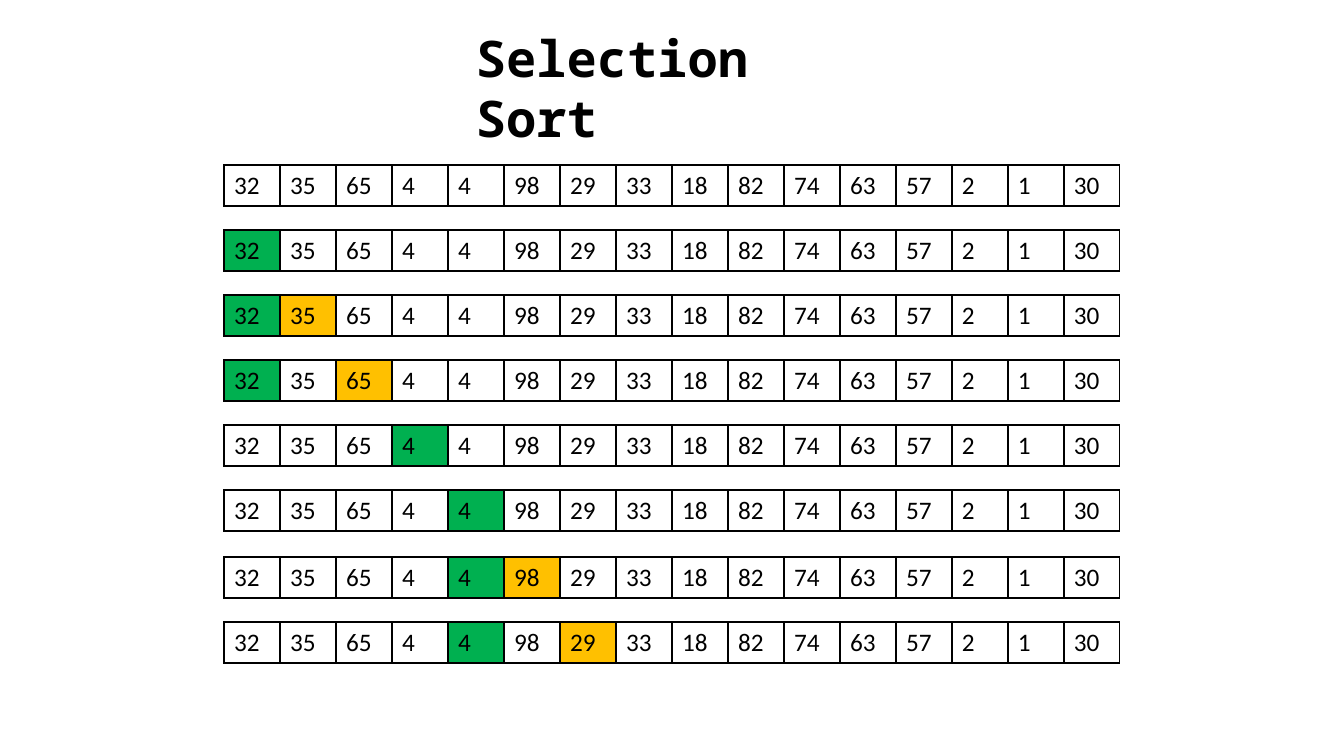
from lxml.etree import SubElement
from pptx import Presentation
from pptx.dml.color import RGBColor
from pptx.enum.text import MSO_AUTO_SIZE as AutoSize
from pptx.oxml.ns import qn
from pptx.util import Pt

# Content: the array, then each step as top and highlighted cells
TITLE = "Selection Sort"
NUMBERS = [32, 35, 65, 4, 4, 98, 29, 33, 18, 82, 74, 63, 57, 2, 1, 30]
BLACK, MINIMUM, COMPARED = "000000", "00B050", "FFC000"
STEPS = [
    (165, {}),
    (230, {0: MINIMUM}),
    (295, {0: MINIMUM, 1: COMPARED}),
    (360, {0: MINIMUM, 2: COMPARED}),
    (425, {3: MINIMUM}),
    (490, {4: MINIMUM}),
    (557, {4: MINIMUM, 5: COMPARED}),
    (622, {4: MINIMUM, 6: COMPARED}),
]

# Layout in pixels
SLIDE_WIDTH, SLIDE_HEIGHT = 1344, 756
TITLE_BOX = (466, 22, 412, 72)
ARRAY_LEFT, CELL_WIDTH, CELL_HEIGHT = 224, 56, 41


def px(pixels):
    return round(pixels * 914400 / 100.8)


def color(value):
    return RGBColor.from_string(value)


def set_font(paragraph, name, size, bold=False):
    font = paragraph.font
    font.name, font.size, font.bold = name, Pt(size), bold
    font.color.rgb = color(BLACK)


def add_borders(cell):
    properties = cell._tc.get_or_add_tcPr()
    for side in ("lnL", "lnR", "lnT", "lnB"):
        line = SubElement(properties, qn(f"a:{side}"), w=str(Pt(1)))
        fill = SubElement(line, qn("a:solidFill"))
        SubElement(fill, qn("a:srgbClr"), val=BLACK)


def add_array(slide, top, highlights):
    count = len(NUMBERS)
    table = slide.shapes.add_table(
        1, count, px(ARRAY_LEFT), px(top), px(CELL_WIDTH * count), px(CELL_HEIGHT)
    ).table
    table.first_row = table.horz_banding = False
    for index, number in enumerate(NUMBERS):
        table.columns[index].width = px(CELL_WIDTH)
        cell = table.cell(0, index)
        cell.text = str(number)
        set_font(cell.text_frame.paragraphs[0], "Calibri", 18)
        add_borders(cell)
        if index in highlights:
            cell.fill.solid()
            cell.fill.fore_color.rgb = color(highlights[index])
        else:
            cell.fill.background()


presentation = Presentation()
presentation.slide_width = px(SLIDE_WIDTH)
presentation.slide_height = px(SLIDE_HEIGHT)
slide = presentation.slides.add_slide(presentation.slide_layouts[6])

# Title
title_frame = slide.shapes.add_textbox(*map(px, TITLE_BOX)).text_frame
title_frame.word_wrap = True
title_frame.auto_size = AutoSize.SHAPE_TO_FIT_TEXT
title_frame.text = TITLE
set_font(title_frame.paragraphs[0], "Noto Sans Mono", 36, bold=True)

# One array per step
for top, highlights in STEPS:
    add_array(slide, top, highlights)

presentation.save("out.pptx")
